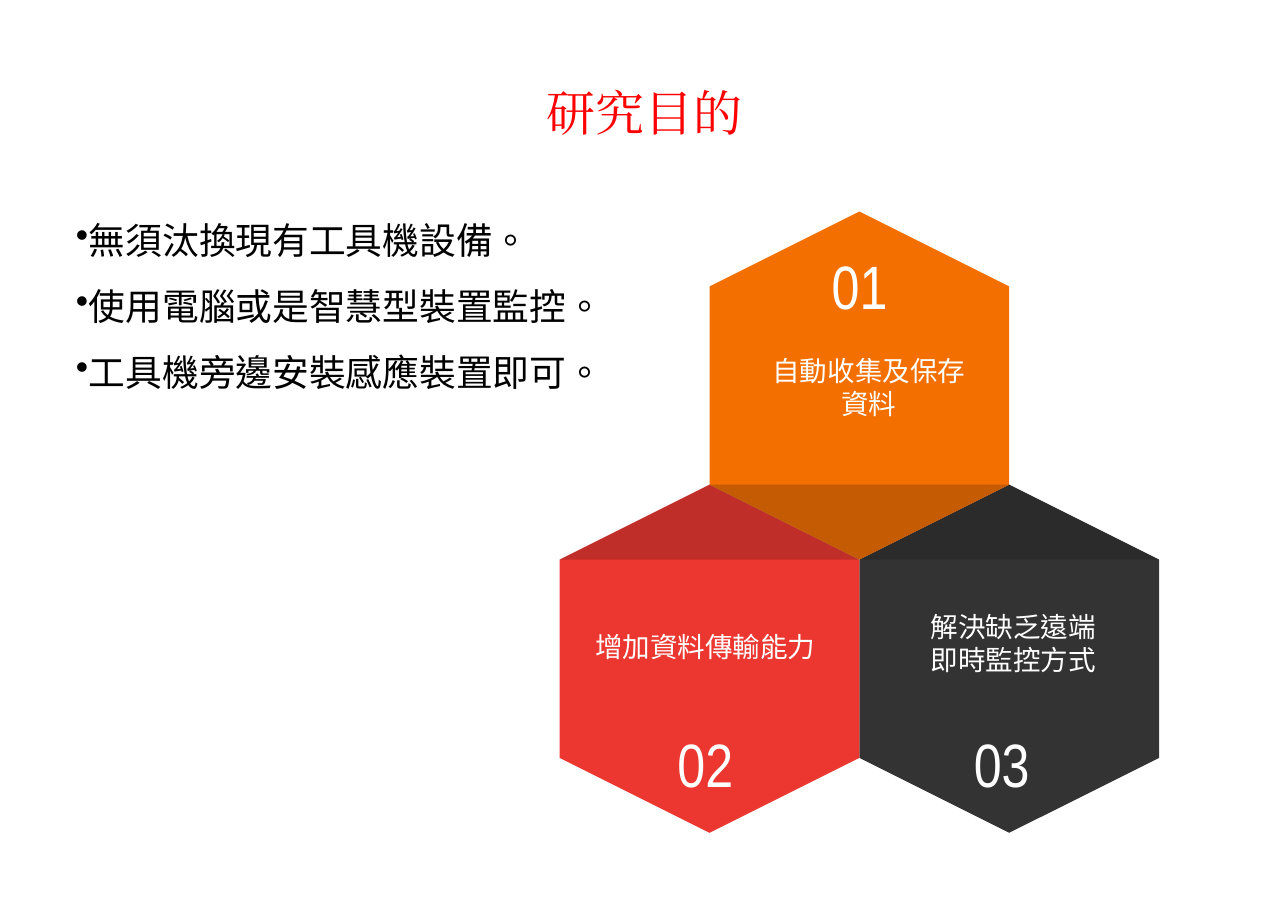
from dataclasses import dataclass

from lxml.etree import SubElement
from pptx import Presentation
from pptx.dml.color import RGBColor
from pptx.enum.shapes import MSO_SHAPE as Preset
from pptx.enum.text import MSO_ANCHOR as Anchor, MSO_AUTO_SIZE as AutoSize, PP_ALIGN as Align
from pptx.oxml.ns import qn
from pptx.util import Inches, Pt


@dataclass(frozen=True)
class Theme:
    title_font: str = "Times New Roman"
    body_font: str = "Noto Sans CJK SC"
    number_font: str = "Arial Narrow"
    title_size: int = 32
    body_size: int = 24
    label_size: int = 18
    number_size: int = 40
    bullet_gap: float = 14.2
    title: str = "FF0000"
    body: str = "000000"
    light: str = "FFFFFF"
    orange: str = "F36F00"
    red: str = "EC3730"
    charcoal: str = "333333"
    shade: str = "0D0D0D"
    shade_alpha: int = 20000


@dataclass(frozen=True)
class Cell:
    column: float
    row: int
    color: str
    number: str
    number_box: tuple
    lines: tuple
    label_box: tuple


THEME = Theme()
CELL_WIDTH, CELL_HEIGHT, CAP = 2.72, 3.16, 0.68
CELLS = [
    Cell(1, 1, THEME.charcoal, "03", (0.94, 2.14, 0.8, 0.77),
         ("解決缺乏遠端", "即時監控方式"), (0.3, 1.09, 2.19, 0.71)),
    Cell(0, 1, THEME.red, "02", (0.97, 2.14, 0.79, 0.77),
         ("增加資料傳輸能力",), (0.21, 1.27, 2.22, 0.4)),
    Cell(0.5, 0, THEME.orange, "01", (1.01, 0.29, 0.72, 0.77),
         ("自動收集及保存資料",), (0.35, 1.24, 2.19, 0.71)),
]


def add_text(page, box, lines, font, size, color, align=Align.LEFT,
             anchor=Anchor.TOP, wrap=True, grow=False, bullet=None):
    text_box = page.shapes.add_textbox(*map(Inches, box))
    frame = text_box.text_frame
    frame.word_wrap = wrap
    frame.auto_size = AutoSize.SHAPE_TO_FIT_TEXT if grow else AutoSize.NONE
    frame.vertical_anchor = anchor
    frame.text = "\n".join(lines)
    for index, para in enumerate(frame.paragraphs):
        para.alignment = align
        if bullet:
            if index:
                para.space_before = Pt(THEME.bullet_gap)
            SubElement(para._p.get_or_add_pPr(), qn("a:buChar"), char=bullet)
        para.font.size = Pt(size)
        para.font.name = font
        para.font.color.rgb = RGBColor.from_string(color)
        defaults = para._p.pPr.find(qn("a:defRPr"))
        defaults.set("lang", "zh-TW")
        SubElement(defaults, qn("a:ea"), typeface=font)


def paint(shape, color, alpha=None):
    shape.shadow.inherit = False
    shape.fill.solid()
    shape.fill.fore_color.rgb = RGBColor.from_string(color)
    shape.line.fill.background()
    if alpha:
        tint = shape._element.spPr.find(qn("a:solidFill")).find(qn("a:srgbClr"))
        SubElement(tint, qn("a:alpha"), val=str(alpha))


def add_hexagon(page, left, top, color):
    inset = (CELL_HEIGHT - CELL_WIDTH) / 2
    hexagon = page.shapes.add_shape(
        Preset.HEXAGON, Inches(left - inset), Inches(top + inset),
        Inches(CELL_HEIGHT), Inches(CELL_WIDTH))
    hexagon.rotation = 270
    paint(hexagon, color)


def add_cap(page, left, base, tip):
    corners = [(left + CELL_WIDTH, base), (left + CELL_WIDTH / 2, tip)]
    builder = page.shapes.build_freeform(Inches(left), Inches(base), scale=1.0)
    builder.add_line_segments([(Inches(x), Inches(y)) for x, y in corners], close=True)
    paint(builder.convert_to_shape(), THEME.shade, THEME.shade_alpha)


def add_honeycomb(page, left, top):
    def corner(cell):
        return left + cell.column * CELL_WIDTH, top + cell.row * (CELL_HEIGHT - CAP)

    for cell in CELLS:
        add_hexagon(page, *corner(cell), cell.color)
    for cell in CELLS:
        x, y = corner(cell)
        if cell.row:
            add_cap(page, x, y + CAP, y)
        else:
            add_cap(page, x, y + CELL_HEIGHT - CAP, y + CELL_HEIGHT)
    for cell in CELLS:
        x, y = corner(cell)
        dx, dy, *size = cell.number_box
        add_text(page, (x + dx, y + dy, *size), [cell.number], THEME.number_font,
                 THEME.number_size, THEME.light, wrap=False, grow=True)
        dx, dy, *size = cell.label_box
        add_text(page, (x + dx, y + dy, *size), cell.lines, THEME.body_font,
                 THEME.label_size, THEME.light, align=Align.CENTER, grow=True)


def add_title(page, box):
    add_text(page, box, ["研究目的"], THEME.title_font, THEME.title_size,
             THEME.title, align=Align.CENTER, anchor=Anchor.MIDDLE)


def add_goals(page, box):
    goals = ["無須汰換現有工具機設備。", "使用電腦或是智慧型裝置監控。", "工具機旁邊安裝感應裝置即可。"]
    add_text(page, box, goals, THEME.body_font, THEME.body_size, THEME.body, bullet="•")


def main():
    deck = Presentation()
    deck.slide_width, deck.slide_height = Inches(11.69), Inches(8.27)
    page = deck.slides.add_slide(deck.slide_layouts[6])
    add_title(page, (0.59, 0.33, 10.52, 1.38))
    add_goals(page, (0.59, 1.93, 10.52, 5.46))
    add_honeycomb(page, 5.08, 1.92)
    deck.save("out.pptx")


if __name__ == "__main__":
    main()
